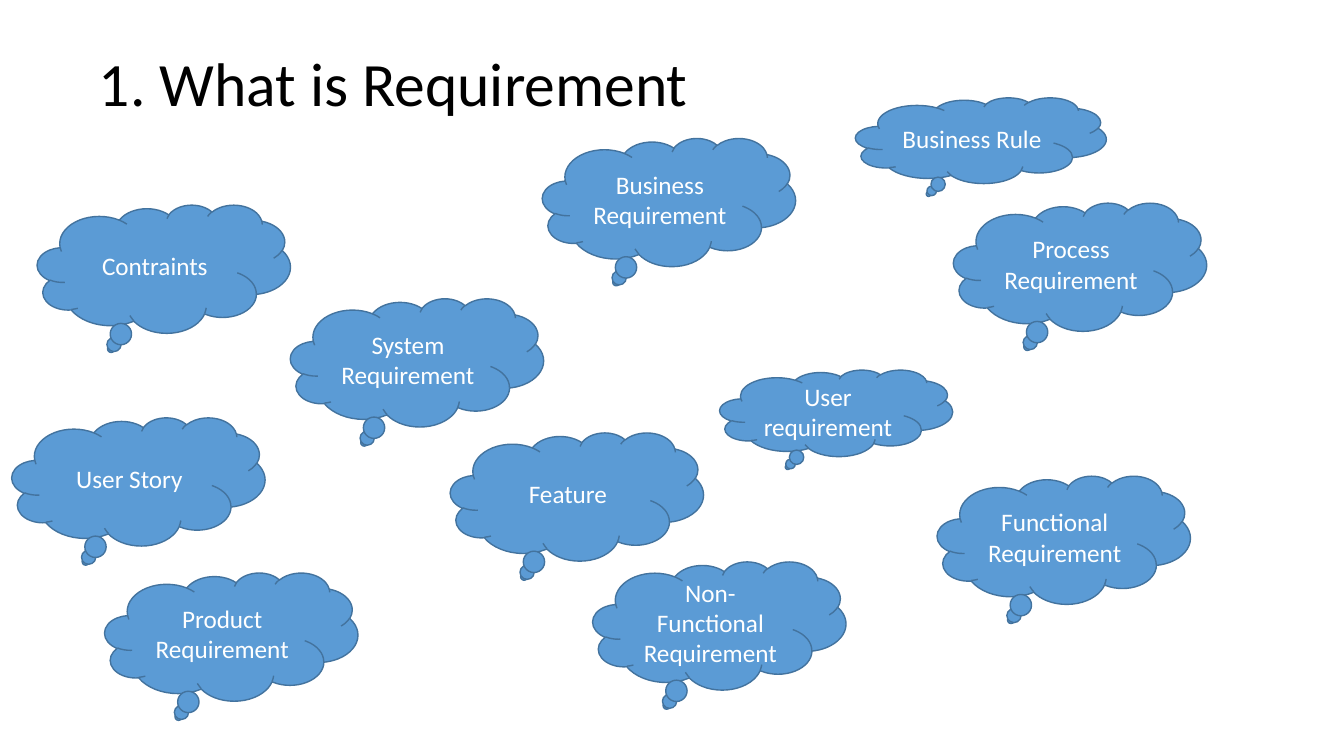
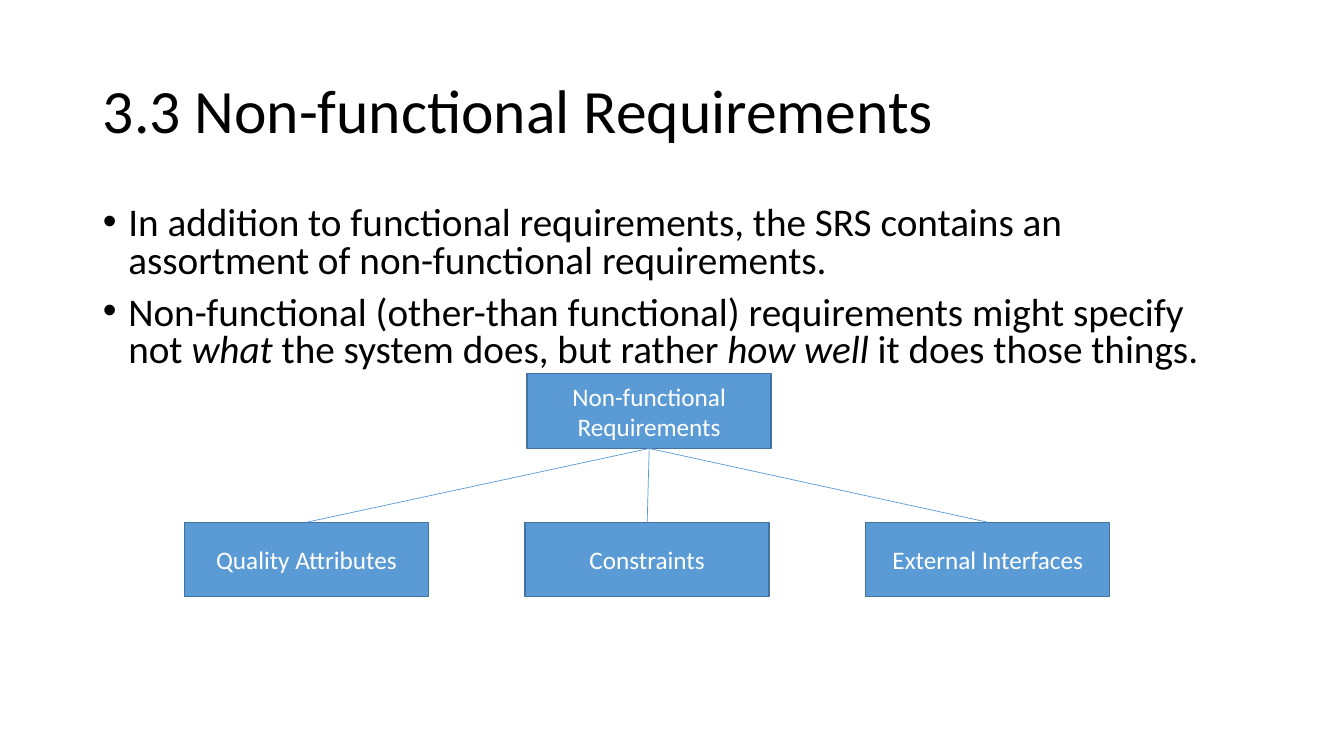
from pptx import Presentation
from pptx.dml.color import RGBColor
from pptx.enum.shapes import MSO_CONNECTOR as Connector, MSO_SHAPE as Shape
from pptx.enum.text import MSO_ANCHOR as Anchor, MSO_AUTO_SIZE as AutoSize, PP_ALIGN as Align
from pptx.oxml.ns import qn
from pptx.util import Cm, Pt
from lxml import etree

COLOURS = {"text": "000000", "fill": "5B9BD5", "outline": "43739E", "label": "FFFFFF"}
FONT = "Calibri"
TITLE_ONLY, TITLE_AND_CONTENT = 5, 1
TEXT_WIDTH = 29.21
CLOUD_SIZE = (6.38, 3.23)
NODE_SIZE = (6.15, 1.88)

CLOUDS = [
    ("Functional Requirement", 23.62, 11.99, CLOUD_SIZE),
    ("User requirement", 18.14, 9.32, (5.87, 2.18)),
    ("Non-Functional Requirement", 14.94, 14.15, CLOUD_SIZE),
    ("System Requirement", 7.32, 7.52, CLOUD_SIZE),
    ("Product\nRequirement", 2.64, 14.43, CLOUD_SIZE),
    ("Process Requirement", 24.03, 5.11, CLOUD_SIZE),
    ("Contraints", 0.94, 5.16, CLOUD_SIZE),
    ("Business Requirement", 13.67, 3.48, CLOUD_SIZE),
    ("User Story", 0.3, 10.52, CLOUD_SIZE),
    ("Feature", 11.35, 10.9, CLOUD_SIZE),
    ("Business Rule", 21.56, 2.46, (6.32, 2.16)),
]

BULLETS = [
    [("In addition to functional requirements, the SRS contains an assortment "
      "of non-functional requirements.", False)],
    [("Non-functional (other-than functional) requirements might specify not ", False),
     ("what ", True),
     ("the system does, but rather ", False),
     ("how well ", True),
     ("it does those things.", False)],
]


def colour(name):
    """Return a palette colour."""
    return RGBColor.from_string(COLOURS[name])


def style_font(font, size, name):
    """Give a font its face, size and palette colour."""
    font.name = FONT
    font.size = Pt(size)
    font.color.rgb = colour(name)


def place(box, left, top, width, height):
    """Set the position and size of a box in centimetres."""
    box.left, box.top, box.width, box.height = map(Cm, (left, top, width, height))


def add_page(deck, layout, title, left, top):
    """Add a page with a styled title."""
    page = deck.slides.add_slide(deck.slide_layouts[layout])
    box = page.shapes.title
    place(box, left, top, TEXT_WIDTH, 3.68)
    frame = box.text_frame
    frame.text = title
    frame.vertical_anchor = Anchor.MIDDLE
    frame.auto_size = AutoSize.NONE
    para = frame.paragraphs[0]
    para.alignment = Align.LEFT
    para.line_spacing = 0.9
    style_font(para.runs[0].font, 44, "text")
    return page


def add_label_shape(shapes, kind, text, left, top, size):
    """Add a filled shape with a centred label."""
    shape = shapes.add_shape(kind, *map(Cm, (left, top, *size)))
    shape.shadow.inherit = False
    shape.fill.solid()
    shape.fill.fore_color.rgb = colour("fill")
    shape.line.color.rgb = colour("outline")
    shape.line.width = Pt(1)
    frame = shape.text_frame
    frame.text = text
    frame.word_wrap = True
    frame.vertical_anchor = Anchor.MIDDLE
    for para in frame.paragraphs:
        para.alignment = Align.CENTER
        style_font(para.runs[0].font, 18, "label")
    return shape


def add_branch(shapes, parent, child):
    """Join the bottom of a parent to the top of a child."""
    branch = shapes.add_connector(Connector.STRAIGHT, 0, 0, 0, 0)
    branch.begin_connect(parent, 2)
    branch.end_connect(child, 0)
    branch.line.color.rgb = colour("fill")
    branch.line.width = Pt(0.5)
    etree.SubElement(branch._element.spPr, qn("a:effectLst"))


def fill_bullets(body, items, left, top, width, height):
    """Place the body and fill it with bulleted paragraphs."""
    place(body, left, top, width, height)
    frame = body.text_frame
    frame.auto_size = AutoSize.NONE
    for index, parts in enumerate(items):
        para = frame.add_paragraph() if index else frame.paragraphs[0]
        properties = para._p.get_or_add_pPr()
        properties.set("marL", str(Cm(0.64)))
        properties.set("indent", str(-Cm(0.64)))
        para.line_spacing = 0.8
        para.space_before = Pt(10 if index else 0)
        for text, italic in parts:
            span = para.add_run()
            span.text = text
            style_font(span.font, 28, "text")
            span.font.italic = italic


def add_tree(page, root, leaves, left, top, width, height):
    """Draw a root above evenly spaced leaves inside a box."""
    shapes = page.shapes.add_group_shape().shapes
    node_width, node_height = NODE_SIZE
    pitch = (width - node_width) / (len(leaves) - 1)
    root_left = left + (width - node_width) / 2 + 0.05
    parent = add_label_shape(shapes, Shape.RECTANGLE, root, root_left, top, NODE_SIZE)
    leaf_top = top + height - node_height
    children = [
        add_label_shape(shapes, Shape.RECTANGLE, leaf, left + index * pitch, leaf_top, NODE_SIZE)
        for index, leaf in enumerate(leaves)
    ]
    for child in children:
        add_branch(shapes, parent, child)


def add_cloud_page(deck):
    """Build the page of requirement clouds."""
    page = add_page(deck, TITLE_ONLY, "1. What is Requirement", 2.24, 0.33)
    for text, left, top, size in CLOUDS:
        add_label_shape(page.shapes, Shape.CLOUD_CALLOUT, text, left, top, size)


def add_tree_page(deck):
    """Build the page with bullets and the requirements tree."""
    page = add_page(deck, TITLE_AND_CONTENT, "3.3 Non-functional Requirements", 2.34, 1.02)
    fill_bullets(page.placeholders[1], BULLETS, 2.34, 5.08, TEXT_WIDTH, 4.65)
    leaves = ["Quality Attributes", "Constraints", "External Interfaces"]
    add_tree(page, "Non-functional Requirements", leaves, 4.65, 9.42, 23.32, 5.62)


def main():
    """Build and save the deck."""
    deck = Presentation()
    deck.slide_width, deck.slide_height = Cm(33.87), Cm(19.05)
    add_cloud_page(deck)
    add_tree_page(deck)
    deck.save("out.pptx")


if __name__ == "__main__":
    main()
